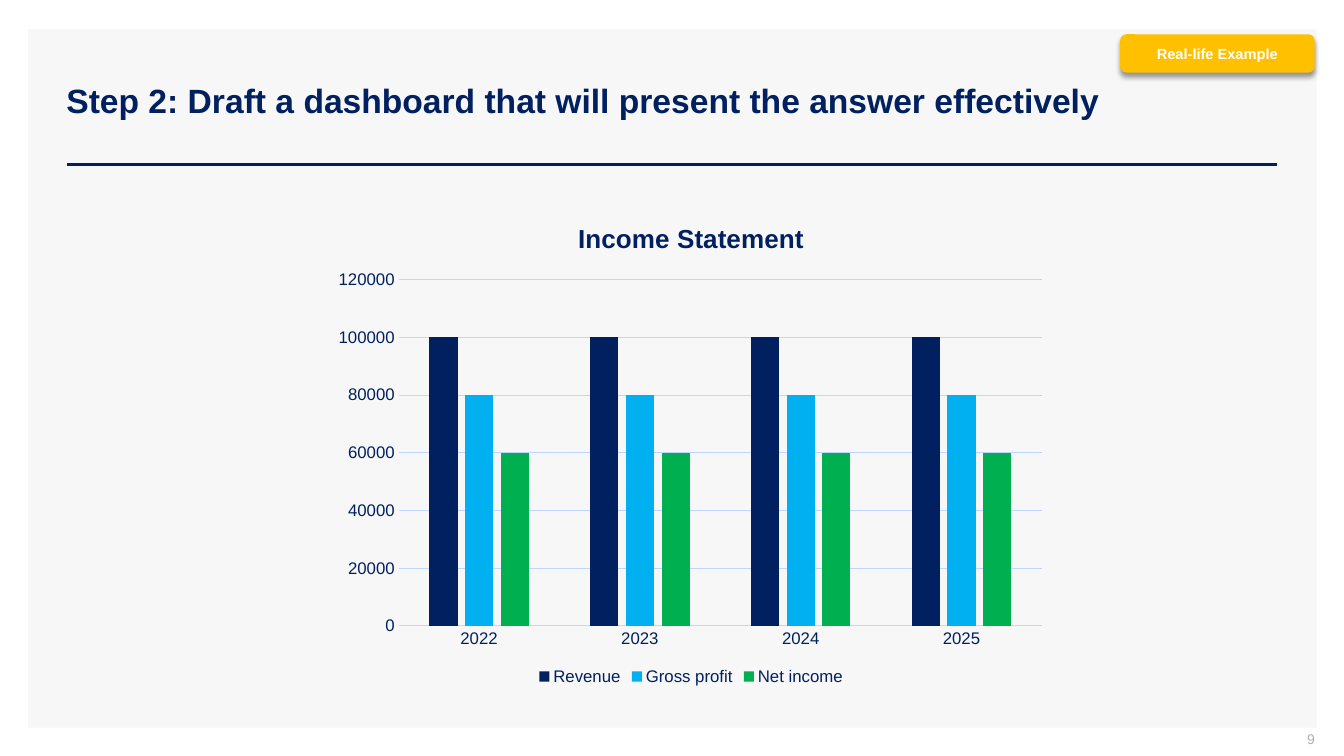
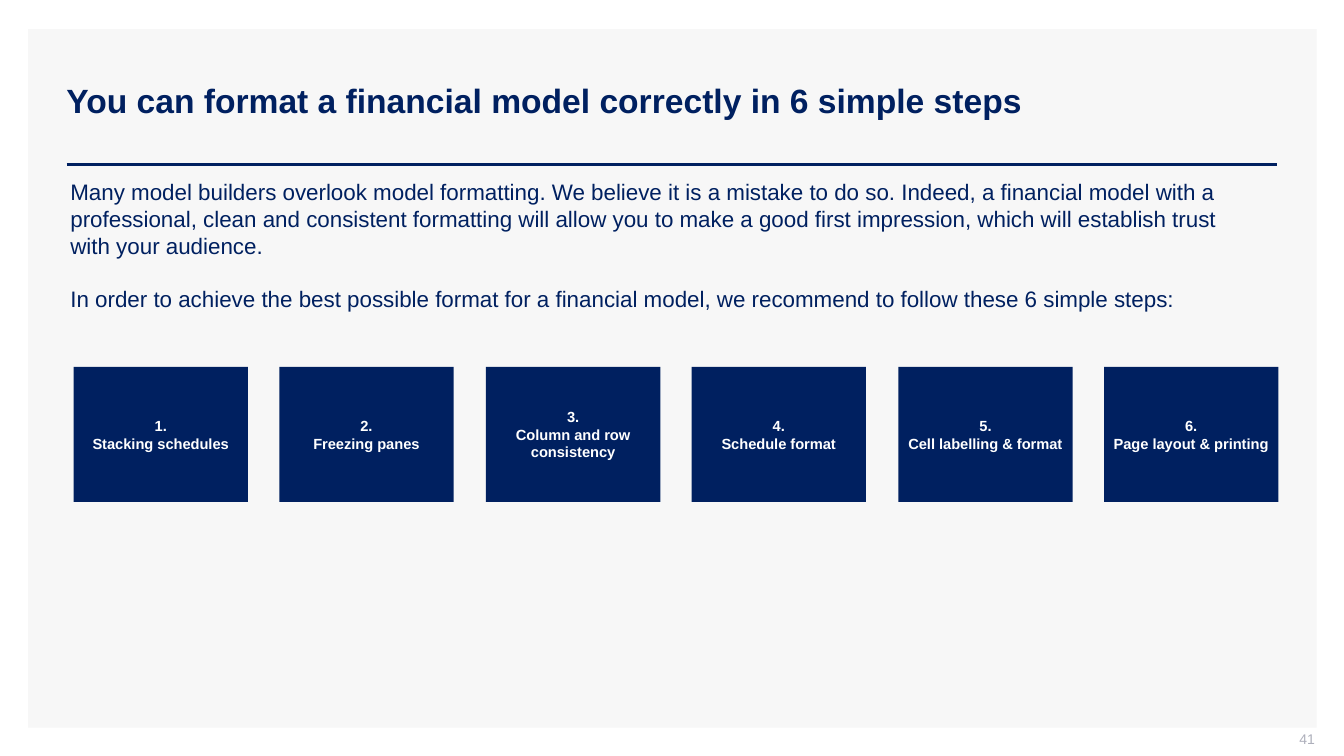
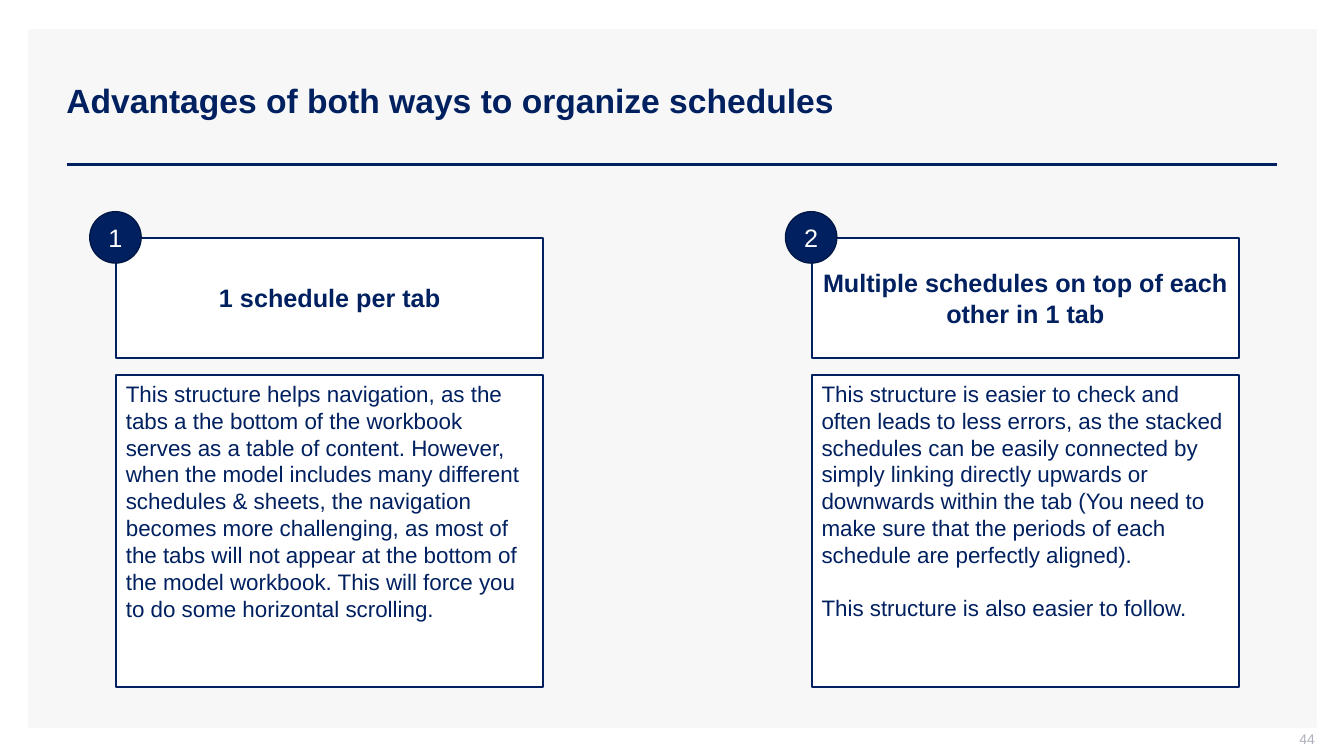
"""Build three slides of a financial modelling course."""
from dataclasses import dataclass
from typing import NamedTuple, Optional

from lxml.etree import SubElement
from pptx import Presentation
from pptx.chart.data import CategoryChartData
from pptx.dml.color import RGBColor
from pptx.enum.chart import XL_CHART_TYPE as ChartType, XL_LEGEND_POSITION as LegendPosition, XL_TICK_MARK as TickMark
from pptx.enum.shapes import MSO_CONNECTOR as Connector, MSO_SHAPE as Shape
from pptx.enum.text import MSO_ANCHOR as Anchor, PP_ALIGN as Align
from pptx.oxml.ns import qn
from pptx.util import Emu, Pt

EMU_PER_PX = 9144
FONT = "Arial"
NAVY, DEEP_NAVY, WHITE = "002060", "001847", "FFFFFF"
PANEL, AMBER, FOOTER, GRID = "F7F7F7", "FFC000", "ADAFBB", "C1D6FF"
BLUE, GREEN = "00B0F0", "00B050"


class Frame(NamedTuple):
    left: int
    top: int
    width: int
    height: int


@dataclass(frozen=True)
class TextStyle:
    size: float
    color: str = NAVY
    bold: bool = False
    align: Align = Align.LEFT
    anchor: Anchor = Anchor.MIDDLE
    margins: tuple[int, int, int, int] = (10, 5, 10, 5)
    gap: float = 0


@dataclass(frozen=True)
class ShapeStyle:
    fill: str
    line: Optional[str] = None
    weight: float = 0


class Option(NamedTuple):
    left: int
    number: str
    heading: str
    details: list[str]


class Series(NamedTuple):
    name: str
    value: int
    color: str


TITLE = TextStyle(24, bold=True)
PAGE_NUMBER = TextStyle(10, FOOTER, align=Align.RIGHT, margins=(10, 0, 0, 5))
TAG = TextStyle(10.5, WHITE, True, Align.CENTER)
STEP = TextStyle(10.5, WHITE, True, Align.CENTER, margins=(2, 2, 2, 2))
BODY = TextStyle(16, anchor=Anchor.TOP, gap=19)
HEADING = TextStyle(18, bold=True, align=Align.CENTER)
BADGE = TextStyle(18, WHITE, align=Align.CENTER, margins=(0, 0, 0, 0))
CARD = ShapeStyle(WHITE, NAVY, 1.5)

YEARS = ["2022", "2023", "2024", "2025"]
SERIES = [
    Series("Revenue", 100000, NAVY),
    Series("Gross profit", 80000, BLUE),
    Series("Net income", 60000, GREEN),
]
STEPS = [
    "Stacking schedules", "Freezing panes", "Column and row consistency",
    "Schedule format", "Cell labelling & format", "Page layout & printing",
]
INTRO = [
    "Many model builders overlook model formatting. We believe it is a mistake to do so. "
    "Indeed, a financial model with a professional, clean and consistent formatting will "
    "allow you to make a good first impression, which will establish trust with your audience.",
    "In order to achieve the best possible format for a financial model, we recommend to "
    "follow these 6 simple steps:",
]
OPTIONS = [
    Option(115, "1", "1 schedule per tab", [
        "This structure helps navigation, as the tabs a the bottom of the workbook serves as a "
        "table of content. However, when the model includes many different schedules & sheets, "
        "the navigation becomes more challenging, as most of the tabs will not appear at the "
        "bottom of the model workbook. This will force you to do some horizontal scrolling.",
    ]),
    Option(805, "2", "Multiple schedules on top of each other in 1 tab", [
        "This structure is easier to check and often leads to less errors, as the stacked "
        "schedules can be easily connected by simply linking directly upwards or downwards "
        "within the tab (You need to make sure that the periods of each schedule are "
        "perfectly aligned).",
        "This structure is also easier to follow.",
    ]),
]


def px(length: int) -> Emu:
    return Emu(length * EMU_PER_PX)


def rgb(color: str) -> RGBColor:
    return RGBColor.from_string(color)


def place(frame: Frame) -> list[Emu]:
    return [px(length) for length in frame]


def style_font(font, size: float, color: str, bold: bool = False) -> None:
    font.name, font.size, font.bold = FONT, Pt(size), bold
    font.color.rgb = rgb(color)


def write(box, lines: list[str], style: TextStyle) -> None:
    text_frame = box.text_frame
    text_frame.word_wrap = True
    text_frame.vertical_anchor = style.anchor
    (text_frame.margin_left, text_frame.margin_top,
     text_frame.margin_right, text_frame.margin_bottom) = map(px, style.margins)
    text_frame.text = "\n".join(lines)
    for index, para in enumerate(text_frame.paragraphs):
        para.alignment = style.align
        if index and style.gap:
            para.space_before = Pt(style.gap)
        for span in para.runs:
            style_font(span.font, style.size, style.color, style.bold)


def add_text(page, frame: Frame, lines: list[str], style: TextStyle) -> None:
    write(page.shapes.add_textbox(*place(frame)), lines, style)


def add_box(page, kind: Shape, frame: Frame, look: ShapeStyle,
            lines: Optional[list[str]] = None, style: TextStyle = BODY):
    box = page.shapes.add_shape(kind, *place(frame))
    box.shadow.inherit = False
    box.fill.solid()
    box.fill.fore_color.rgb = rgb(look.fill)
    if look.line:
        box.line.color.rgb = rgb(look.line)
        box.line.width = Pt(look.weight)
    else:
        box.line.fill.background()
    if lines:
        write(box, lines, style)
    return box


def add_rule(page) -> None:
    rule = page.shapes.add_connector(Connector.STRAIGHT, px(66), px(163), px(1267), px(163))
    rule.line.color.rgb = rgb(NAVY)
    rule.line.width = Pt(2)
    SubElement(rule.element.spPr, qn("a:effectLst"))


def add_page(deck, title: str, number: int):
    page = deck.slides.add_slide(deck.slide_layouts[6])
    add_box(page, Shape.RECTANGLE, Frame(28, 29, 1278, 693), ShapeStyle(PANEL))
    add_rule(page)
    add_text(page, Frame(56, 40, 1211, 119), [title], TITLE)
    add_text(page, Frame(1004, 725, 300, 21), [str(number)], PAGE_NUMBER)
    return page


def add_tag(page, label: str) -> None:
    tag = add_box(page, Shape.ROUNDED_RECTANGLE, Frame(1111, 34, 193, 38),
                  ShapeStyle(AMBER), [label], TAG)
    effects = tag.element.spPr.find(qn("a:effectLst"))
    shadow = SubElement(effects, qn("a:outerShdw"), blurRad=str(Pt(4)), dist=str(Pt(3)),
                        dir="5400000", algn="t", rotWithShape="0")
    tint = SubElement(shadow, qn("a:srgbClr"), val="000000")
    SubElement(tint, qn("a:alpha"), val="40000")


def fix_plot_area(chart, **bounds: float) -> None:
    plot_area = chart.element.find(".//" + qn("c:plotArea"))
    for old in plot_area.findall(qn("c:layout")):
        plot_area.remove(old)
    layout = SubElement(plot_area, qn("c:layout"))
    plot_area.insert(0, layout)
    manual = SubElement(layout, qn("c:manualLayout"))
    settings = {"layoutTarget": "inner", "xMode": "edge", "yMode": "edge", **bounds}
    for name, value in settings.items():
        SubElement(manual, qn(f"c:{name}"), val=str(value))


def add_income_chart(page, frame: Frame) -> None:
    data = CategoryChartData()
    data.categories = YEARS
    for series in SERIES:
        data.add_series(series.name, [series.value] * len(YEARS))
    chart = page.shapes.add_chart(ChartType.COLUMN_CLUSTERED, *place(frame), data).chart
    style_font(chart.font, 10, NAVY)

    chart.has_title = True
    heading = chart.chart_title.text_frame
    heading.text = "Income Statement"
    style_font(heading.paragraphs[0].runs[0].font, 18.6, NAVY, True)
    chart.chart_title.include_in_layout = False

    chart.has_legend = True
    chart.legend.position = LegendPosition.BOTTOM
    chart.legend.include_in_layout = False
    style_font(chart.legend.font, 12, NAVY)

    for axis in (chart.category_axis, chart.value_axis):
        axis.major_tick_mark = axis.minor_tick_mark = TickMark.NONE
        style_font(axis.tick_labels.font, 12, NAVY)
    chart.value_axis.format.line.fill.background()
    chart.value_axis.has_major_gridlines = True
    for line in (chart.category_axis.format.line, chart.value_axis.major_gridlines.format.line):
        line.color.rgb = rgb(GRID)
        line.width = Pt(0.75)

    plot = chart.plots[0]
    plot.gap_width, plot.overlap, plot.vary_by_categories = 219, -27, False
    for bars, series in zip(plot.series, SERIES):
        bars.format.fill.solid()
        bars.format.fill.fore_color.rgb = rgb(series.color)
    fix_plot_area(chart, x=0.1, y=0.16, w=0.88, h=0.71)


def add_steps(page) -> None:
    first, last = 73, 1095
    for index, label in enumerate(STEPS):
        left = round(first + index * (last - first) / (len(STEPS) - 1))
        add_box(page, Shape.RECTANGLE, Frame(left, 364, 173, 134), ShapeStyle(NAVY),
                [f"{index + 1}.", label], STEP)


def add_option(page, option: Option) -> None:
    left, width, top, badge = option.left, 424, 236, 51
    add_box(page, Shape.RECTANGLE, Frame(left, top, width, 119), CARD, [option.heading], HEADING)
    add_box(page, Shape.RECTANGLE, Frame(left, 372, width, 310), CARD, option.details, BODY)
    add_box(page, Shape.OVAL, Frame(left - badge // 2 - 1, top - badge // 2 - 1, badge, badge),
            ShapeStyle(NAVY, DEEP_NAVY, 1), [option.number], BADGE)


def main() -> None:
    deck = Presentation()
    deck.slide_width, deck.slide_height = px(1333), px(750)

    page = add_page(deck, "Step 2: Draft a dashboard that will present the answer effectively", 9)
    add_tag(page, "Real-life Example")
    add_income_chart(page, Frame(323, 200, 725, 484))

    page = add_page(deck, "You can format a financial model correctly in 6 simple steps", 41)
    add_steps(page)
    add_text(page, Frame(60, 172, 1200, 145), INTRO, BODY)

    page = add_page(deck, "Advantages of both ways to organize schedules", 44)
    for option in OPTIONS:
        add_option(page, option)

    deck.save("out.pptx")


if __name__ == "__main__":
    main()
